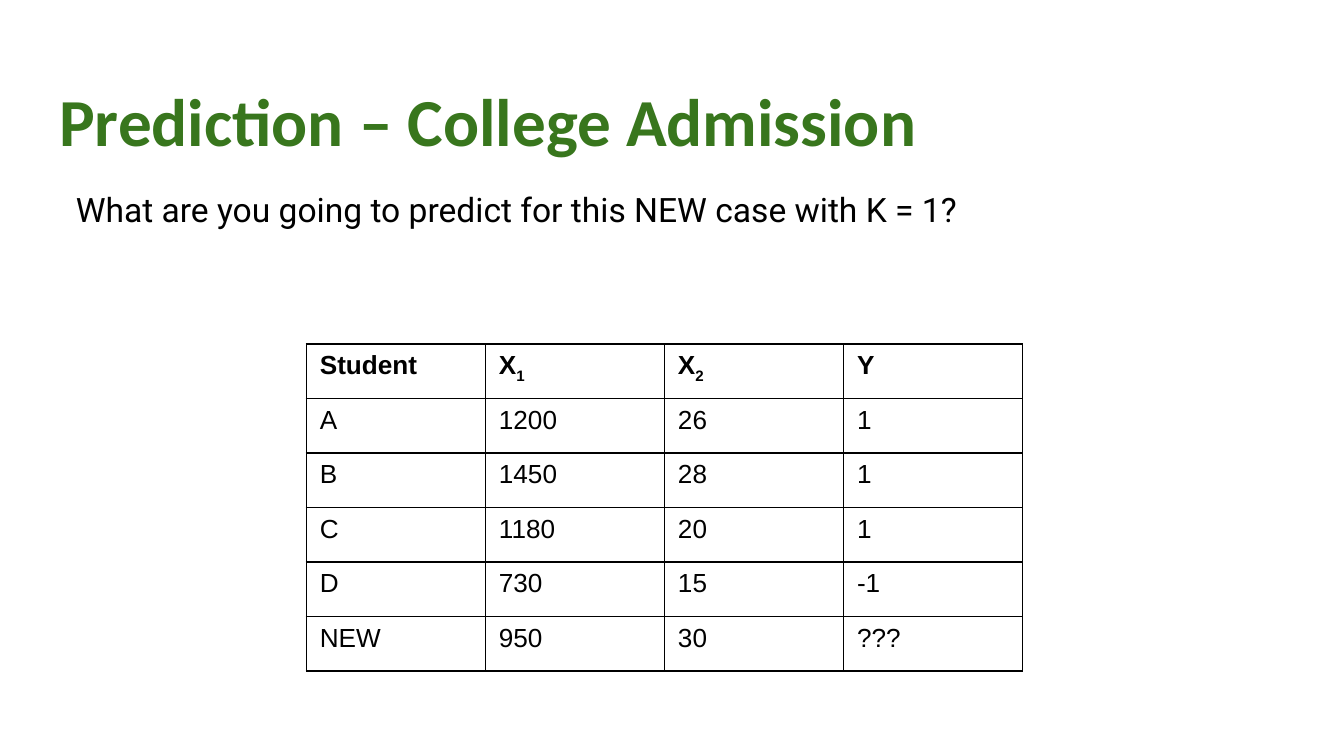
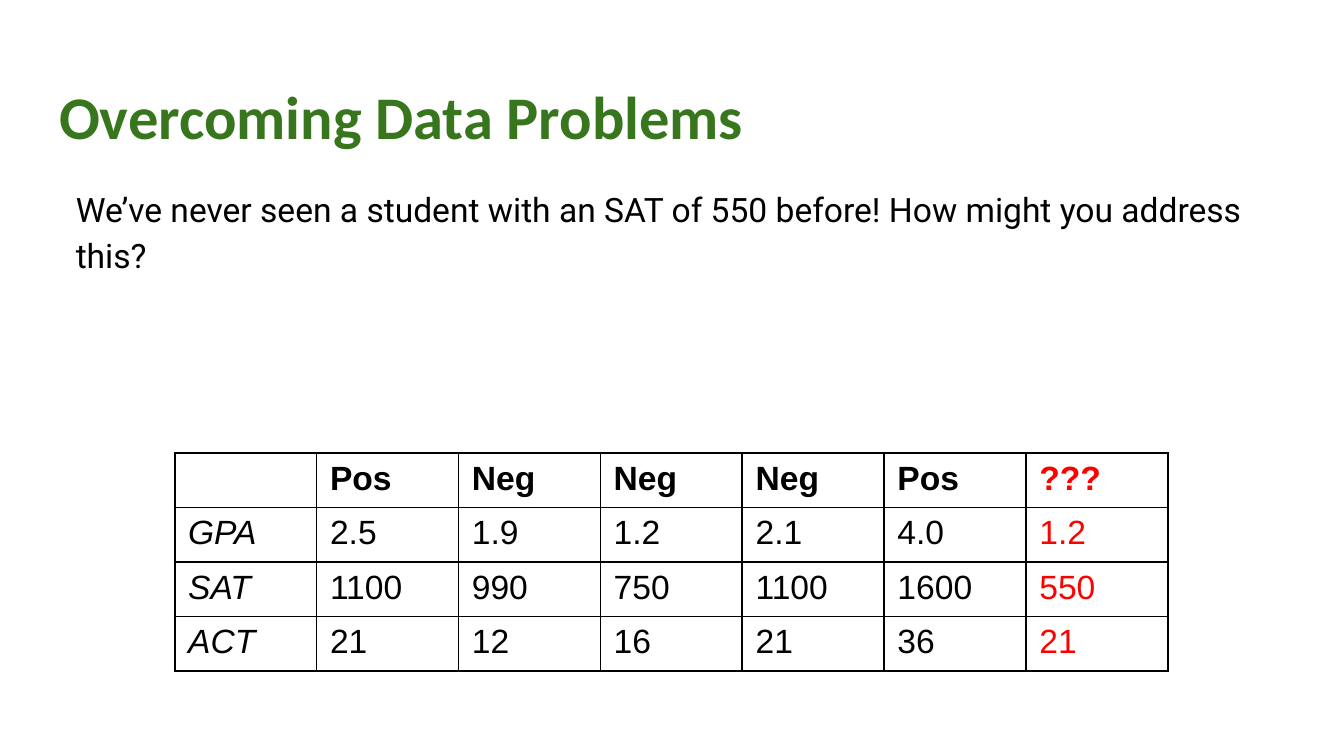
import pptx
import pptx.dml.color
import pptx.enum.text
import pptx.oxml.ns
import pptx.util
from lxml import etree

Inches = pptx.util.Inches
Pt = pptx.util.Pt
RGBColor = pptx.dml.color.RGBColor

GREEN = RGBColor(0x38, 0x76, 0x1D)
BLACK = RGBColor(0x00, 0x00, 0x00)
WHITE = RGBColor(0xFF, 0xFF, 0xFF)
RED = RGBColor(0xFF, 0x00, 0x00)

TITLE_FONT, BODY_FONT, TABLE_FONT = "Calibri", "Roboto", "Arial"
SLIDE_WIDTH = 10
SLIDE_HEIGHT = SLIDE_WIDTH * 9 / 16
LEFT, WIDTH = 0.34, 9.32
ROW_HEIGHT = Pt(29.2)

# An underscore in a cell starts a subscript.
SLIDES = [
    {
        "title": "Prediction – College Admission",
        "title_size": 36,
        "question": "What are you going to predict for this NEW case with K = 1?",
        "table": {
            "left": 2.28, "top": 2.56, "width": 5.33, "size": 14,
            "fill": None, "italic_labels": False, "red_last_column": False,
            "rows": [
                ["Student", "X_1", "X_2", "Y"],
                ["A", "1200", "26", "1"],
                ["B", "1450", "28", "1"],
                ["C", "1180", "20", "1"],
                ["D", "730", "15", "-1"],
                ["NEW", "950", "30", "???"],
            ],
        },
    },
    {
        "title": "Overcoming Data Problems",
        "title_size": 32.4,
        "question": "We’ve never seen a student with an SAT of 550 before! "
                    "How might you address this?",
        "table": {
            "left": 1.3, "top": 3.37, "width": 7.39, "size": 18,
            "fill": WHITE, "italic_labels": True, "red_last_column": True,
            "rows": [
                ["", "Pos", "Neg", "Neg", "Neg", "Pos", "???"],
                ["GPA", "2.5", "1.9", "1.2", "2.1", "4.0", "1.2"],
                ["SAT", "1100", "990", "750", "1100", "1600", "550"],
                ["ACT", "21", "12", "16", "21", "36", "21"],
            ],
        },
    },
]


def style_font(font, name, size, color, bold=False, italic=False):
    font.name = name
    font.size = Pt(size)
    font.color.rgb = color
    font.bold = bold
    font.italic = italic


def fill_frame(shape, text):
    """Put one left-aligned, top-anchored paragraph in the shape and return it."""
    frame = shape.text_frame
    frame.text = text
    frame.word_wrap = True
    frame.auto_size = pptx.enum.text.MSO_AUTO_SIZE.NONE
    frame.vertical_anchor = pptx.enum.text.MSO_ANCHOR.TOP
    frame.margin_left = frame.margin_right = Inches(0.1)
    frame.margin_top = frame.margin_bottom = Inches(0.1)
    paragraph = frame.paragraphs[0]
    paragraph.alignment = pptx.enum.text.PP_ALIGN.LEFT
    return paragraph


def add_title(slide, text, size):
    title = slide.shapes.title
    title.left, title.top = Inches(LEFT), Inches(0.49)
    title.width, title.height = Inches(WIDTH), Inches(0.63)
    paragraph = fill_frame(title, text)
    style_font(paragraph.runs[0].font, TITLE_FONT, size, GREEN, bold=True)


def add_question(slide, text):
    box = slide.shapes.add_textbox(
        Inches(LEFT), Inches(1.26), Inches(WIDTH), Inches(3.74))
    paragraph = fill_frame(box, text)
    paragraph.line_spacing = 1.15
    properties = paragraph._p.get_or_add_pPr()
    properties.set("marL", str(Pt(9)))
    properties.set("indent", "0")
    style_font(paragraph.runs[0].font, BODY_FONT, 18, BLACK)


def add_borders(cell):
    qn = pptx.oxml.ns.qn
    properties = cell._tc.get_or_add_tcPr()
    for side in ("lnL", "lnR", "lnT", "lnB"):
        line = etree.SubElement(properties, qn("a:" + side), w=str(Pt(1)))
        fill = etree.SubElement(line, qn("a:solidFill"))
        etree.SubElement(fill, qn("a:srgbClr"), val=str(BLACK))


def add_data_table(slide, data):
    rows = data["rows"]
    column_count = len(rows[0])
    table = slide.shapes.add_table(
        len(rows), column_count, Inches(data["left"]), Inches(data["top"]),
        Inches(data["width"]), ROW_HEIGHT * len(rows)).table
    table.first_row = table.horz_banding = False
    for column in table.columns:
        column.width = Inches(data["width"] / column_count)
    for row_index, row in enumerate(rows):
        table.rows[row_index].height = ROW_HEIGHT
        for column_index, text in enumerate(row):
            cell = table.cell(row_index, column_index)
            add_borders(cell)
            if data["fill"] is None:
                cell.fill.background()
            else:
                cell.fill.solid()
                cell.fill.fore_color.rgb = data["fill"]
            is_red = data["red_last_column"] and column_index == column_count - 1
            is_italic = data["italic_labels"] and column_index == 0
            paragraph = cell.text_frame.paragraphs[0]
            for part_index, part in enumerate(text.split("_") if text else []):
                run = paragraph.add_run()
                run.text = part
                style_font(run.font, TABLE_FONT, data["size"],
                           RED if is_red else BLACK,
                           bold=row_index == 0, italic=is_italic)
                if part_index:
                    run._r.get_or_add_rPr().set("baseline", "-25000")


def main():
    presentation = pptx.Presentation()
    presentation.slide_width = Inches(SLIDE_WIDTH)
    presentation.slide_height = Inches(SLIDE_HEIGHT)
    for content in SLIDES:
        slide = presentation.slides.add_slide(presentation.slide_layouts[5])
        add_title(slide, content["title"], content["title_size"])
        add_question(slide, content["question"])
        add_data_table(slide, content["table"])
    presentation.save("out.pptx")


if __name__ == "__main__":
    main()
